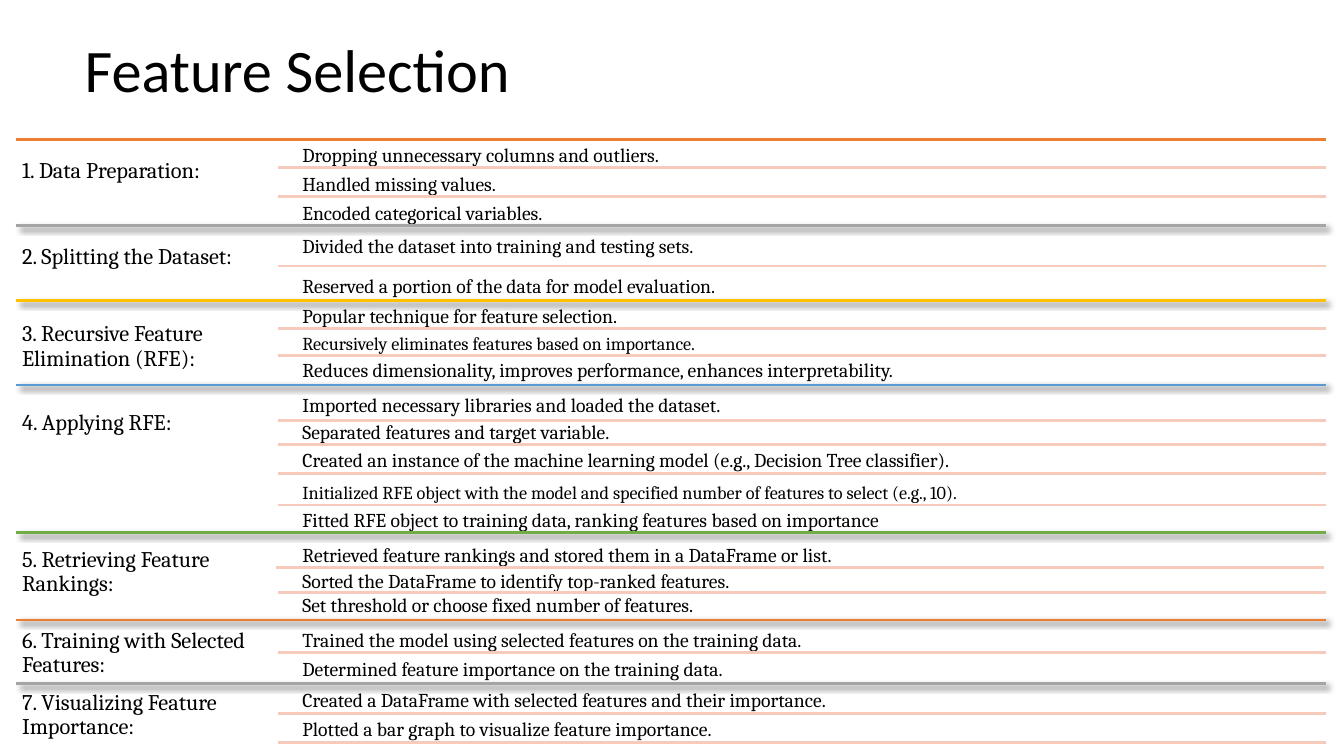
from dataclasses import dataclass
from itertools import cycle

from lxml import etree
from pptx import Presentation
from pptx.dml.color import RGBColor
from pptx.enum.shapes import MSO_CONNECTOR
from pptx.enum.text import MSO_ANCHOR, MSO_AUTO_SIZE, PP_ALIGN
from pptx.oxml.ns import qn
from pptx.util import Inches, Pt

STRAIGHT = MSO_CONNECTOR.STRAIGHT
TOP = MSO_ANCHOR.TOP
LEFT = PP_ALIGN.LEFT
GROW = MSO_AUTO_SIZE.SHAPE_TO_FIT_TEXT

COLORS = {
    "text": "000000",
    "orange": "ED7D31",
    "gray": "A5A5A5",
    "gold": "FFC000",
    "blue": "5B9BD5",
    "green": "70AD47",
    "rule": "F6CBBC",
}
DIVIDER_CYCLE = ("orange", "gray", "gold", "blue", "green")

SECTION_LEFT, RULE_LEFT, DETAIL_LEFT = 0.16, 2.76, 2.95
RIGHT = 13.15
SECTION_WIDTH = RULE_LEFT - SECTION_LEFT
RULE_WIDTH = RIGHT - RULE_LEFT
DETAIL_WIDTH = RIGHT - DETAIL_LEFT


@dataclass
class Detail:
    """One line of a section, with the rule below it."""
    text: str
    top: float
    rule: float
    size: int = 14
    rule_shift: float = 0


@dataclass
class Section:
    """A numbered step with its divider and details."""
    heading: str
    divider: float
    top: float
    height: float
    details: list


SECTIONS = [
    Section("1. Data Preparation:", 1.38, 1.52, 0.39, [
        Detail("Dropping unnecessary columns and outliers.", 1.39, 1.66),
        Detail("Handled missing values.", 1.68, 1.95),
        Detail("Encoded categorical variables.", 1.97, 2.24),
    ]),
    Section("2. Splitting the Dataset:", 2.24, 2.37, 0.39, [
        Detail("Divided the dataset into training and testing sets.", 2.3, 2.64),
        Detail("Reserved a portion of the data for model evaluation.", 2.69, 2.98),
    ]),
    Section("3. Recursive Feature Elimination (RFE):", 2.98, 3.14, 0.63, [
        Detail("Popular technique for feature selection.", 2.99, 3.26),
        Detail("Recursively eliminates features based on importance.", 3.27, 3.53, 13),
        Detail("Reduces dimensionality, improves performance, enhances interpretability.",
               3.53, 3.82),
    ]),
    Section("4. Applying RFE:", 3.82, 4.02, 0.39, [
        Detail("Imported necessary libraries and loaded the dataset.", 3.87, 4.17),
        Detail("Separated features and target variable.", 4.14, 4.41),
        Detail("Created an instance of the machine learning model "
               "(e.g., Decision Tree classifier).", 4.42, 4.7),
        Detail("Initialized RFE object with the model and specified number of "
               "features to select (e.g., 10).", 4.75, 5.01, 13),
        Detail("Fitted RFE object to training data, ranking features based on importance",
               5.02, 5.28, rule_shift=-0.08),
    ]),
    Section("5. Retrieving Feature Rankings:", 5.28, 5.38, 0.63, [
        Detail("Retrieved feature rankings and stored them in a DataFrame or list.",
               5.36, 5.63, rule_shift=-0.02),
        Detail("Sorted the DataFrame to identify top-ranked features.", 5.62, 5.88),
        Detail("Set threshold or choose fixed number of features.", 5.86, 6.15,
               rule_shift=-0.04),
    ]),
    Section("6. Training with Selected Features:", 6.15, 6.18, 0.63, [
        Detail("Trained the model using selected features on the training data.",
               6.21, 6.47),
        Detail("Determined feature importance on the training data.", 6.49, 6.78),
    ]),
    Section("7. Visualizing Feature Importance:", 6.78, 6.8, 0.63, [
        Detail("Created a DataFrame with selected features and their importance.",
               6.8, 7.08),
        Detail("Plotted a bar graph to visualize feature importance.", 7.09, 7.37),
    ]),
]


def format_text(frame, text, size, font_name, inset):
    """Fill a text frame with one left-aligned paragraph."""
    frame.word_wrap = True
    frame.vertical_anchor = TOP
    frame.margin_left = frame.margin_right = Inches(inset)
    frame.margin_top = frame.margin_bottom = Inches(inset)
    frame.text = text
    paragraph = frame.paragraphs[0]
    paragraph.alignment = LEFT
    paragraph.line_spacing = 0.9
    font = paragraph.runs[0].font
    font.name = font_name
    font.size = Pt(size)
    font.color.rgb = RGBColor.from_string(COLORS["text"])


def add_title(slide):
    """Place and format the slide title."""
    title = slide.shapes.title
    title.left, title.top = Inches(0.79), Inches(0.33)
    title.width, title.height = Inches(11.5), Inches(1.45)
    format_text(title.text_frame, "Feature Selection", 43.1, "Calibri", 0.05)
    title.text_frame.margin_top = Inches(0.07)


def add_label(slide, text, left, top, width, height, size, inset):
    """Add a text box that grows with its text."""
    label = slide.shapes.add_textbox(
        Inches(left), Inches(top), Inches(width), Inches(height))
    format_text(label.text_frame, text, size, "Cambria", inset)
    label.text_frame.auto_size = GROW


def add_line(slide, left, width, y, color, shadow=False):
    """Add a horizontal line, with a soft shadow on request."""
    line = slide.shapes.add_connector(
        STRAIGHT, Inches(left), Inches(y), Inches(left + width), Inches(y))
    line.line.color.rgb = RGBColor.from_string(COLORS[color])
    line.line.width = Pt(2)
    effects = etree.SubElement(line._element.spPr, qn("a:effectLst"))
    if shadow:
        outer = etree.SubElement(
            effects, qn("a:outerShdw"), blurRad=str(Pt(4)), dist=str(Pt(3)),
            dir="2700000", algn="tl", rotWithShape="0")
        tint = etree.SubElement(outer, qn("a:srgbClr"), val=COLORS["text"])
        etree.SubElement(tint, qn("a:alpha"), val="40000")


def add_section(slide, section, color, shadow):
    """Add a divider, its heading and the ruled details."""
    add_line(slide, SECTION_LEFT, RIGHT - SECTION_LEFT, section.divider, color, shadow)
    add_label(slide, section.heading, SECTION_LEFT, section.top,
              SECTION_WIDTH, section.height, 16, 0.06)
    for detail in section.details:
        add_label(slide, detail.text, DETAIL_LEFT, detail.top,
                  DETAIL_WIDTH, 0.35 if detail.size == 14 else 0.32, detail.size, 0.05)
        add_line(slide, RULE_LEFT + detail.rule_shift, RULE_WIDTH, detail.rule, "rule")


def main():
    """Build and save the feature selection slide."""
    presentation = Presentation()
    presentation.slide_width = Inches(13.33)
    presentation.slide_height = Inches(7.5)
    slide = presentation.slides.add_slide(presentation.slide_layouts[5])
    add_title(slide)
    for index, (section, color) in enumerate(zip(SECTIONS, cycle(DIVIDER_CYCLE))):
        add_section(slide, section, color, shadow=index > 0)
    presentation.save("out.pptx")


if __name__ == "__main__":
    main()
